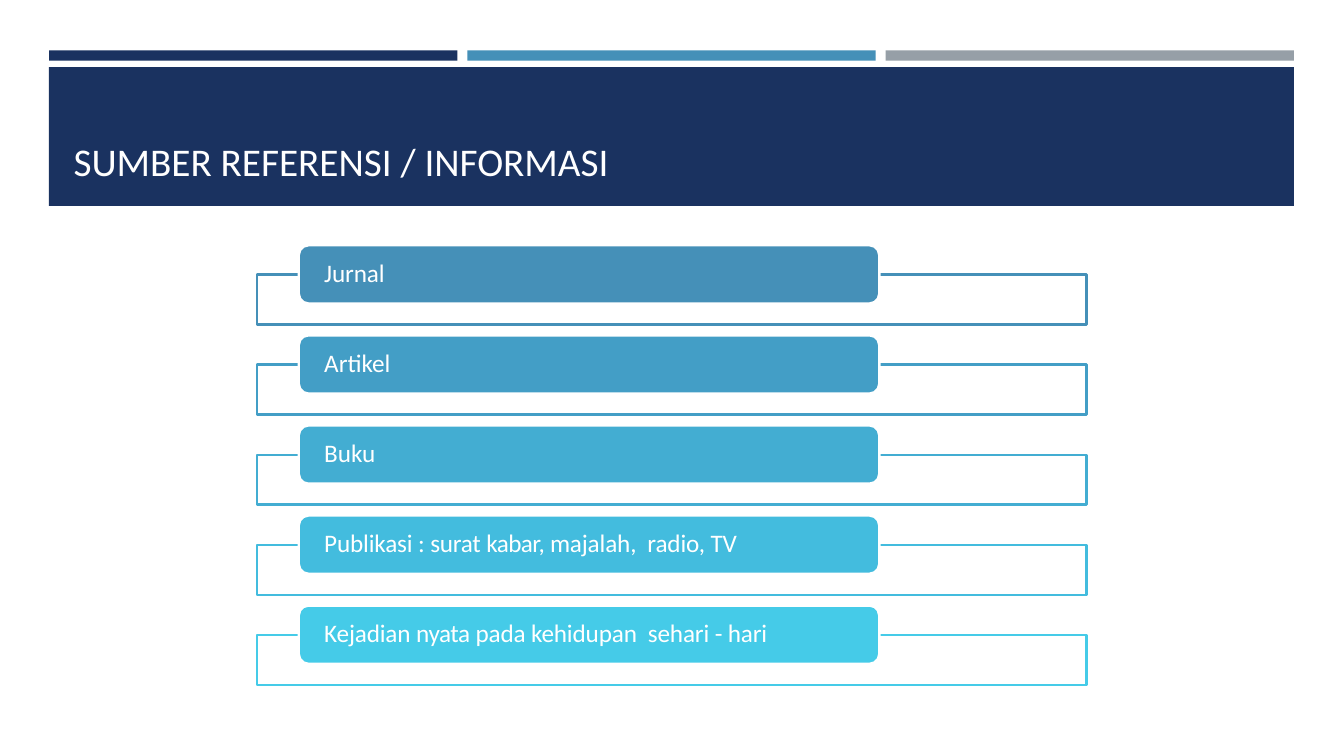
from dataclasses import dataclass

from pptx import Presentation
from pptx.dml.color import RGBColor
from pptx.enum.shapes import MSO_SHAPE
from pptx.enum.text import MSO_ANCHOR, MSO_AUTO_SIZE, PP_ALIGN
from pptx.shapes.autoshape import Shape
from pptx.slide import Slide
from pptx.text.text import _Paragraph as Paragraph
from pptx.util import Cm, Pt


@dataclass(frozen=True)
class Theme:
    font: str = "Calibri"
    title_size: float = 28
    label_size: float = 18
    line_width: float = 1.75
    white: str = "FFFFFF"
    navy: str = "1A3260"
    blue: str = "4590B8"
    gray: str = "969FA7"
    sky: str = "439EC6"
    azure: str = "43ADD2"
    aqua: str = "43BCDE"
    cyan: str = "45CBE8"


@dataclass(frozen=True)
class Box:
    left: float
    top: float
    width: float
    height: float


@dataclass(frozen=True)
class Phrase:
    text: str
    spacing: float = 0


@dataclass(frozen=True)
class Source:
    color: str
    phrases: tuple[Phrase, ...]


THEME = Theme()
BAR_COLORS = (THEME.navy, THEME.blue, THEME.gray)
BAR = Box(1.24, 1.27, 10.29, 0.26)
BAR_PITCH = 10.54
BAND = Box(1.23, 1.69, 31.38, 3.5)
TITLE = Box(1.6, 2.03, 30.63, 2.74)
FRAME = Box(6.48, 6.92, 20.9, 1.26)
LABEL = Box(7.53, 6.18, 14.63, 1.47)
ROW_PITCH = 2.27
SOURCES = (
    Source(THEME.blue, (Phrase("Jurnal", -0.1),)),
    Source(THEME.sky, (Phrase("Artikel"),)),
    Source(THEME.azure, (Phrase("Buku"),)),
    Source(THEME.aqua, (
        Phrase("Publikasi : ", -0.1),
        Phrase("surat ", -0.2),
        Phrase("kabar, ", -0.4),
        Phrase("majalah,  radio, TV", -0.1),
    )),
    Source(THEME.cyan, (
        Phrase("Kejadian ", -0.1),
        Phrase("nyata ", -0.3),
        Phrase("pada kehidupan  sehari - hari", -0.1),
    )),
)


def place(shape: Shape, box: Box) -> None:
    shape.left, shape.top = Cm(box.left), Cm(box.top)
    shape.width, shape.height = Cm(box.width), Cm(box.height)


def add_box(slide: Slide, kind: MSO_SHAPE, box: Box, fill: str, line: str | None = None) -> Shape:
    shape = slide.shapes.add_shape(kind, 0, 0, 0, 0)
    place(shape, box)
    shape.shadow.inherit = False
    shape.fill.solid()
    shape.fill.fore_color.rgb = RGBColor.from_string(fill)
    if line is None:
        shape.line.fill.background()
    else:
        shape.line.color.rgb = RGBColor.from_string(line)
        shape.line.width = Pt(THEME.line_width)
    return shape


def add_run(paragraph: Paragraph, phrase: Phrase, size: float) -> None:
    run = paragraph.add_run()
    run.text = phrase.text
    run.font.name = THEME.font
    run.font.size = Pt(size)
    run.font.color.rgb = RGBColor.from_string(THEME.white)
    if phrase.spacing:
        run._r.get_or_add_rPr().set("spc", str(round(phrase.spacing * 100)))


def add_header(slide: Slide) -> None:
    for index, color in enumerate(BAR_COLORS):
        bar = Box(BAR.left + index * BAR_PITCH, BAR.top, BAR.width, BAR.height)
        add_box(slide, MSO_SHAPE.RECTANGLE, bar, color)
    add_box(slide, MSO_SHAPE.RECTANGLE, BAND, THEME.navy)

    title = slide.shapes.title
    place(title, TITLE)
    title._element.getparent().append(title._element)
    text_frame = title.text_frame
    text_frame.auto_size = MSO_AUTO_SIZE.NONE
    text_frame.vertical_anchor = MSO_ANCHOR.BOTTOM
    paragraph = text_frame.paragraphs[0]
    paragraph.alignment = PP_ALIGN.LEFT
    add_run(paragraph, Phrase("SUMBER REFERENSI / INFORMASI"), THEME.title_size)


def add_source(slide: Slide, source: Source, offset: float) -> None:
    frame = Box(FRAME.left, FRAME.top + offset, FRAME.width, FRAME.height)
    add_box(slide, MSO_SHAPE.RECTANGLE, frame, THEME.white, source.color)

    label_box = Box(LABEL.left, LABEL.top + offset, LABEL.width, LABEL.height)
    label = add_box(slide, MSO_SHAPE.ROUNDED_RECTANGLE, label_box, source.color, THEME.white)
    text_frame = label.text_frame
    text_frame.word_wrap = True
    text_frame.vertical_anchor = MSO_ANCHOR.MIDDLE
    text_frame.margin_left = text_frame.margin_right = Cm(0.57)
    text_frame.margin_top = text_frame.margin_bottom = 0
    paragraph = text_frame.paragraphs[0]
    paragraph.alignment = PP_ALIGN.LEFT
    paragraph.line_spacing = 0.9
    for phrase in source.phrases:
        add_run(paragraph, phrase, THEME.label_size)


def main() -> None:
    presentation = Presentation()
    presentation.slide_width = Cm(33.87)
    presentation.slide_height = Cm(19.05)
    slide = presentation.slides.add_slide(presentation.slide_layouts.get_by_name("Title Only"))
    add_header(slide)
    for index, source in enumerate(SOURCES):
        add_source(slide, source, index * ROW_PITCH)
    presentation.save("out.pptx")


if __name__ == "__main__":
    main()
